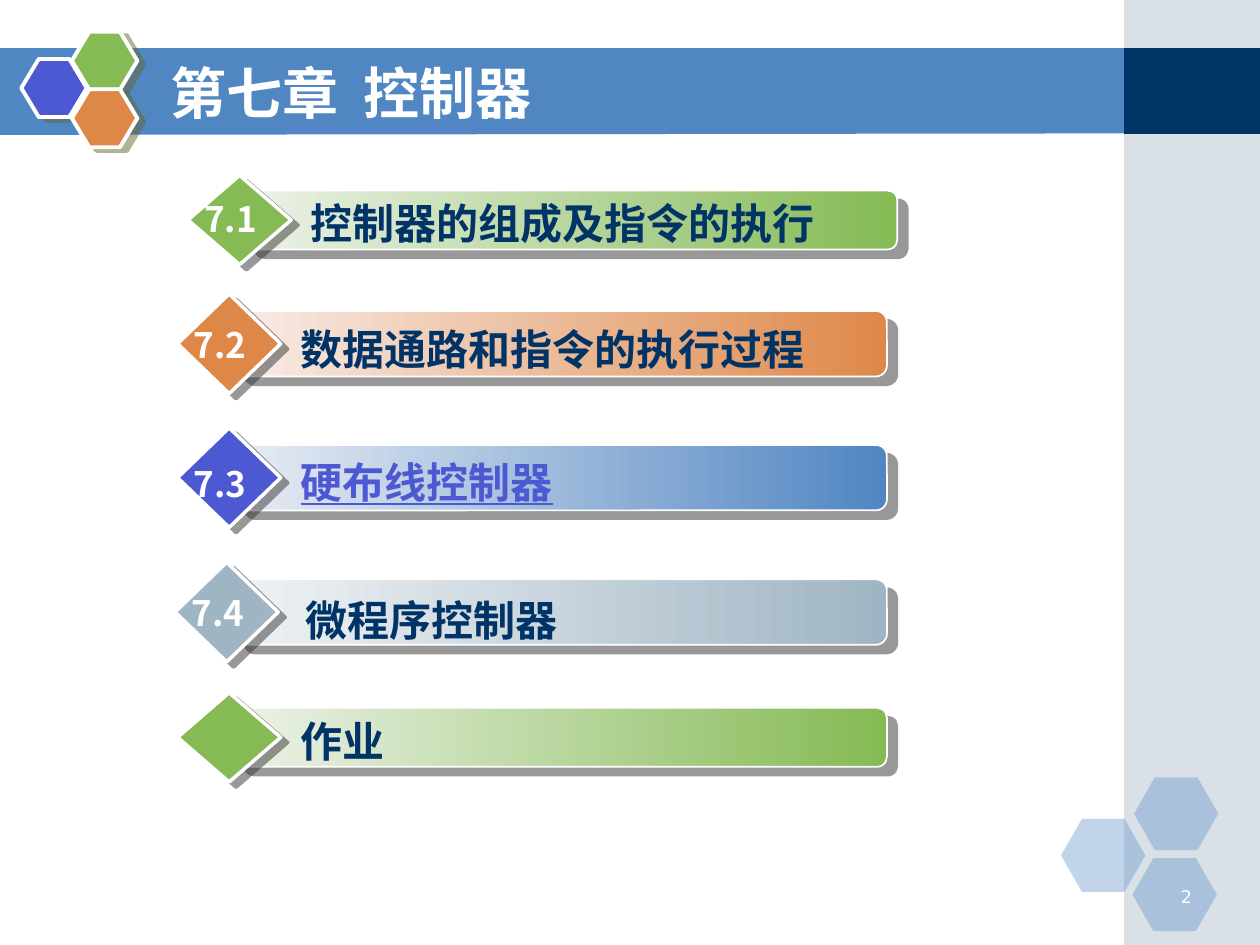
from dataclasses import dataclass

from lxml.etree import SubElement
from pptx import Presentation
from pptx.dml.color import RGBColor
from pptx.enum.shapes import MSO_SHAPE as Preset
from pptx.enum.text import MSO_ANCHOR as Anchor, PP_ALIGN as Align
from pptx.oxml.ns import qn
from pptx.util import Cm, Pt


@dataclass(frozen=True)
class Theme:
    blue: str = "5086C2"
    navy: str = "003366"
    indigo: str = "4C59D2"
    green: str = "85BA54"
    orange: str = "DE8848"
    steel: str = "A0B5C4"
    white: str = "FFFFFF"
    pale_green: str = "ECF2E8"
    pale_orange: str = "F8ECE7"
    pale_blue: str = "E8ECF4"
    pale_steel: str = "EFF2F4"
    row_shadow: str = "333333"
    logo_shadow: str = "666633"
    font: str = "Noto Sans CJK SC"
    page_font: str = "DejaVu Sans"
    title_size: int = 32
    entry_size: int = 24
    number_size: int = 20
    page_size: int = 10


THEME = Theme()


@dataclass(frozen=True)
class Row:
    """One agenda entry; lengths in centimetres."""
    number: str
    label: str
    colour: str
    pale: str
    top: float
    label_top: float
    number_top: float = 0
    bar_left: float = 4.72
    bar_height: float = 1.32
    badge_height: float = 2.01
    badge_colour: str = ""
    badge_shift: float = 0
    label_shift: float = 0
    linked: bool = False


ROWS = [
    Row("7.1", "控制器的组成及指令的执行", THEME.green, THEME.pale_green, 3.84, 3.86, 3.86,
        bar_left=4.93, bar_height=1.19, badge_height=1.8),
    Row("7.2", "数据通路和指令的执行过程", THEME.orange, THEME.pale_orange, 6.27, 6.4, 6.4),
    Row("7.3", "硬布线控制器", THEME.blue, THEME.pale_blue, 8.97, 9.07, 9.19,
        badge_colour=THEME.indigo, linked=True),
    Row("7.4", "微程序控制器", THEME.steel, THEME.pale_steel, 11.68, 11.86, 11.79,
        badge_shift=-0.05, label_shift=0.1),
    Row("", "作业", THEME.green, THEME.pale_green, 14.27, 14.3,
        bar_height=1.19, badge_height=1.8),
]


def rgb(colour):
    return RGBColor.from_string(colour)


def add_alpha(colour_element, percent):
    SubElement(colour_element, qn("a:alpha"), val=str(percent * 1000))


def add_preset(slide, preset, box, colour, adjust=None, outline=0, opacity=100):
    shape = slide.shapes.add_shape(preset, *map(Cm, box))
    shape.shadow.inherit = False
    shape.fill.solid()
    shape.fill.fore_color.rgb = rgb(colour)
    if opacity < 100:
        add_alpha(shape.fill._xPr.find(".//" + qn("a:srgbClr")), opacity)
    if adjust is not None:
        shape.adjustments[0] = adjust
    if outline:
        shape.line.color.rgb = rgb(THEME.white)
        shape.line.width = Pt(outline)
    else:
        shape.line.fill.background()
    return shape


def add_shadow(shape, colour, distance, angle):
    """Hard half-transparent shadow; distance in points, angle in degrees."""
    effects = shape._element.spPr.find(qn("a:effectLst"))
    outer = SubElement(effects, qn("a:outerShdw"), blurRad="0", dist=str(Pt(distance)),
                       dir=str(angle * 60000), algn="ctr", rotWithShape="0")
    add_alpha(SubElement(outer, qn("a:srgbClr"), val=colour), 50)


def add_text(slide, text, box, size, colour=THEME.white, font=THEME.font, bold=True,
             inset=0.25, align=Align.LEFT, anchor=Anchor.TOP, underline=False):
    frame = slide.shapes.add_textbox(*map(Cm, box)).text_frame
    frame.word_wrap = True
    frame.margin_left = Cm(inset)
    frame.vertical_anchor = anchor
    frame.text = text
    paragraph = frame.paragraphs[0]
    paragraph.alignment = align
    run = paragraph.runs[0]
    run.font.size = Pt(size)
    run.font.name = font
    run.font.bold = bold
    run.font.color.rgb = rgb(colour)
    if underline:
        run.font.underline = True
    SubElement(run.font._element, qn("a:ea"), typeface=font)


def add_title_band(slide):
    builder = slide.shapes.build_freeform(Cm(-0.03), Cm(0.97))
    corners = [(22.73, 0.97), (22.73, 2.69), (-0.03, 2.72)]
    builder.add_line_segments([(Cm(x), Cm(y)) for x, y in corners], close=True)
    band = builder.convert_to_shape()
    band.shadow.inherit = False
    band.fill.solid()
    band.fill.fore_color.rgb = rgb(THEME.blue)
    band.line.fill.background()


def add_backdrop(slide):
    add_title_band(slide)
    add_preset(slide, Preset.RECTANGLE, (22.66, 0, 2.74, 19.05), THEME.steel, opacity=40)
    add_preset(slide, Preset.RECTANGLE, (22.66, 0.97, 2.74, 1.73), THEME.navy)
    for left, top in [(21.39, 16.51), (22.86, 15.67), (22.83, 17.3)]:
        add_preset(slide, Preset.HEXAGON, (left, top, 1.7, 1.47), THEME.blue, 0.286, opacity=35)
    for left, top, colour in [(0.43, 1.19, THEME.indigo), (1.45, 0.64, THEME.green),
                              (1.45, 1.8, THEME.orange)]:
        cell = add_preset(slide, Preset.HEXAGON, (left, top, 1.32, 1.17), colour, 0.3, 2.25)
        add_shadow(cell, THEME.logo_shadow, 4.5, 27)


def add_row(slide, row):
    bar = add_preset(slide, Preset.ROUNDED_RECTANGLE,
                     (row.bar_left, row.top, 13.16, row.bar_height), row.colour, 0.167, 1)
    bar.fill.gradient()
    bar.fill.gradient_angle = 0
    for stop, colour in zip(bar.fill.gradient_stops, (row.pale, row.colour)):
        stop.color.rgb = rgb(colour)
    add_shadow(bar, THEME.row_shadow, 7.8, 40)

    badge_left = row.bar_left - 1.14 + row.badge_shift
    badge_top = row.top + (row.bar_height - row.badge_height) / 2
    badge = add_preset(slide, Preset.DIAMOND, (badge_left, badge_top, 2.08, row.badge_height),
                       row.badge_colour or row.colour, outline=2)
    add_shadow(badge, THEME.row_shadow, 5, 37)

    label_left = row.bar_left + 0.71 + row.label_shift
    add_text(slide, row.label, (label_left, row.label_top, 12.07, 1.27), THEME.entry_size,
             THEME.indigo if row.linked else THEME.navy, inset=0.63, underline=row.linked)
    if row.number:
        add_text(slide, row.number, (badge_left + 0.08, row.number_top, 2.1, 1.09),
                 THEME.number_size)


def main():
    deck = Presentation()
    deck.slide_width, deck.slide_height = Cm(25.4), Cm(19.05)
    slide = deck.slides.add_slide(deck.slide_layouts[6])
    add_backdrop(slide)
    add_text(slide, "2", (23.01, 17.73, 1.27, 0.64), THEME.page_size,
             font=THEME.page_font, bold=False, align=Align.RIGHT)
    add_text(slide, "第七章  控制器", (3.18, 1.07, 18.62, 1.57), THEME.title_size,
             anchor=Anchor.MIDDLE)
    for row in ROWS:
        add_row(slide, row)
    deck.save("out.pptx")


if __name__ == "__main__":
    main()
